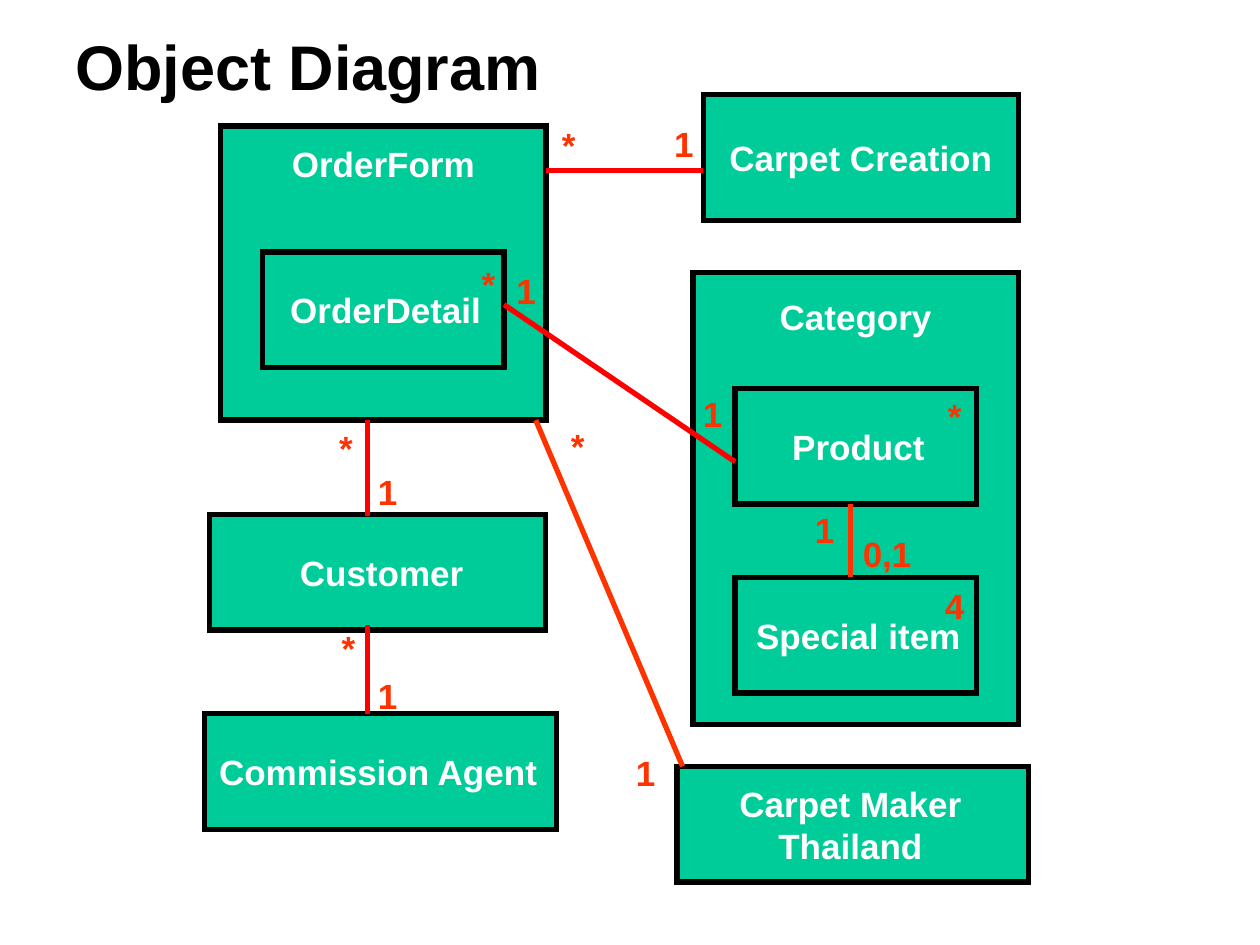
from dataclasses import dataclass
from typing import Optional

from lxml import etree
from pptx import Presentation
from pptx import util as u
from pptx.dml.color import RGBColor
from pptx.enum import shapes, text
from pptx.oxml.ns import qn

GREEN, BLACK, WHITE = "00CC99", "000000", "FFFFFF"
RED, ORANGE = "FF0000", "FF3300"
LINE_WIDTH = u.Pt(3)
ROW = 1.12  # height of a one-line label, cm


# All lengths are in centimetres
@dataclass
class ObjectBox:
    name: str
    left: float
    top: float
    width: float
    height: float
    label_width: float
    label_shift: float = 0  # sideways from the centre of the box
    label_top: Optional[float] = None  # centred in the box when not given
    label_height: float = ROW


@dataclass
class Link:
    x1: float
    y1: float
    x2: float
    y2: float
    color: str = RED


@dataclass
class Multiplicity:
    value: str
    left: float
    top: float


OBJECTS = [
    ObjectBox("OrderForm", 4.45, 2.54, 6.56, 5.93, 6, label_top=2.74),
    ObjectBox("OrderDetail", 5.29, 5.08, 4.87, 2.33, 4.34, 0.05),
    ObjectBox("Carpet Creation", 14.18, 1.9, 6.35, 2.54, 5.92),
    ObjectBox("Category", 13.97, 5.5, 6.56, 9.1, 6, label_top=5.82),
    ObjectBox("Product", 14.82, 7.83, 4.87, 2.33, 3.18, 0.05),
    ObjectBox("Special item", 14.82, 11.64, 4.87, 2.33, 4.62, 0.05),
    ObjectBox("Commission Agent", 4.13, 14.39, 7.09, 2.33, 7.19, -0.05),
    ObjectBox("Customer", 4.23, 10.37, 6.77, 2.33, 3.81, 0.08),
    ObjectBox("Carpet Maker Thailand", 13.65, 15.45, 7.09, 2.33, 7.19, -0.05,
              label_height=1.96),
]

LINKS = [
    Link(10.16, 6.14, 14.82, 9.31),             # OrderDetail - Product
    Link(11.01, 3.43, 14.18, 3.43),             # OrderForm - Carpet Creation
    Link(7.41, 8.47, 7.41, 10.4),               # OrderForm - Customer
    Link(7.41, 12.6, 7.41, 14.39),              # Customer - Commission Agent
    Link(17.15, 10.16, 17.15, 11.64, ORANGE),   # Product - Special item
    Link(10.8, 8.47, 13.76, 15.45, ORANGE),     # OrderForm - Carpet Maker
]

MULTIPLICITIES = [
    Multiplicity("1", 10.16, 5.29), Multiplicity("1", 13.92, 7.77),
    Multiplicity("*", 11.07, 2.36), Multiplicity("1", 13.34, 2.33),
    Multiplicity("*", 6.58, 8.46), Multiplicity("1", 7.37, 9.35),
    Multiplicity("*", 6.63, 12.5), Multiplicity("1", 7.37, 13.46),
    Multiplicity("1", 16.18, 10.11), Multiplicity("0,1", 17.15, 10.59),
    Multiplicity("*", 11.25, 8.43), Multiplicity("1", 12.57, 15.01),
    Multiplicity("*", 9.45, 5.16), Multiplicity("*", 18.85, 7.82),
    Multiplicity("4", 18.8, 11.64),
]
MULTIPLICITY_WIDTHS = {"*": 0.79, "0,1": 1.47}
DIGIT_WIDTH = 0.89


def rgb(value: str) -> RGBColor:
    return RGBColor.from_string(value)


def write(holder, words: str, *, size: int = 20, color: str = WHITE,
          wrap: bool = False) -> None:
    frame = holder.text_frame
    frame.text = words
    frame.word_wrap = wrap
    frame.auto_size = text.MSO_AUTO_SIZE.NONE
    frame.vertical_anchor = text.MSO_ANCHOR.MIDDLE
    paragraph = frame.paragraphs[0]
    paragraph.alignment = text.PP_ALIGN.CENTER
    paragraph.space_before = u.Pt(0)
    font = paragraph.runs[0].font
    font.name, font.size, font.bold = "Arial", u.Pt(size), True
    font.color.rgb = rgb(color)


def add_label(slide, words: str, left: float, top: float, width: float,
              height: float = ROW, **style) -> None:
    label = slide.shapes.add_textbox(
        u.Cm(left), u.Cm(top), u.Cm(width), u.Cm(height))
    write(label, words, **style)


def draw_object(slide, box: ObjectBox) -> None:
    frame = slide.shapes.add_shape(
        shapes.MSO_SHAPE.RECTANGLE,
        u.Cm(box.left), u.Cm(box.top), u.Cm(box.width), u.Cm(box.height))
    frame.shadow.inherit = False
    frame.fill.solid()
    frame.fill.fore_color.rgb = rgb(GREEN)
    frame.line.color.rgb = rgb(BLACK)
    frame.line.width = LINE_WIDTH
    # Square corners on the outline
    etree.SubElement(frame._element.spPr.find(qn("a:ln")), qn("a:miter"),
                     lim="800000")

    label_left = box.left + (box.width - box.label_width) / 2 + box.label_shift
    label_top = box.label_top
    if label_top is None:
        label_top = box.top + (box.height - box.label_height) / 2
    add_label(slide, box.name, label_left, label_top, box.label_width,
              box.label_height, wrap=box.label_width > 5)


def draw_link(slide, link: Link) -> None:
    line = slide.shapes.add_connector(
        shapes.MSO_CONNECTOR.STRAIGHT,
        u.Cm(link.x1), u.Cm(link.y1), u.Cm(link.x2), u.Cm(link.y2))
    line.line.color.rgb = rgb(link.color)
    line.line.width = LINE_WIDTH
    etree.SubElement(line._element.spPr, qn("a:effectLst"))


def draw_multiplicity(slide, mark: Multiplicity) -> None:
    width = MULTIPLICITY_WIDTHS.get(mark.value, DIGIT_WIDTH)
    add_label(slide, mark.value, mark.left, mark.top, width, color=ORANGE)


def main() -> None:
    deck = Presentation()
    deck.slide_width, deck.slide_height = u.Cm(25.4), u.Cm(19.05)
    slide = deck.slides.add_slide(deck.slide_layouts[5])

    # Title, with room to stay on one line
    title = slide.shapes.title
    title.left, title.top = u.Cm(0.96), u.Cm(0.43)
    title.width, title.height = u.Cm(10.5), u.Cm(1.78)
    write(title, "Object Diagram", size=36, color=BLACK, wrap=True)

    # Objects, their links and the multiplicities
    for box in OBJECTS:
        draw_object(slide, box)
    for link in LINKS:
        draw_link(slide, link)
    for mark in MULTIPLICITIES:
        draw_multiplicity(slide, mark)

    deck.save("out.pptx")


if __name__ == "__main__":
    main()
